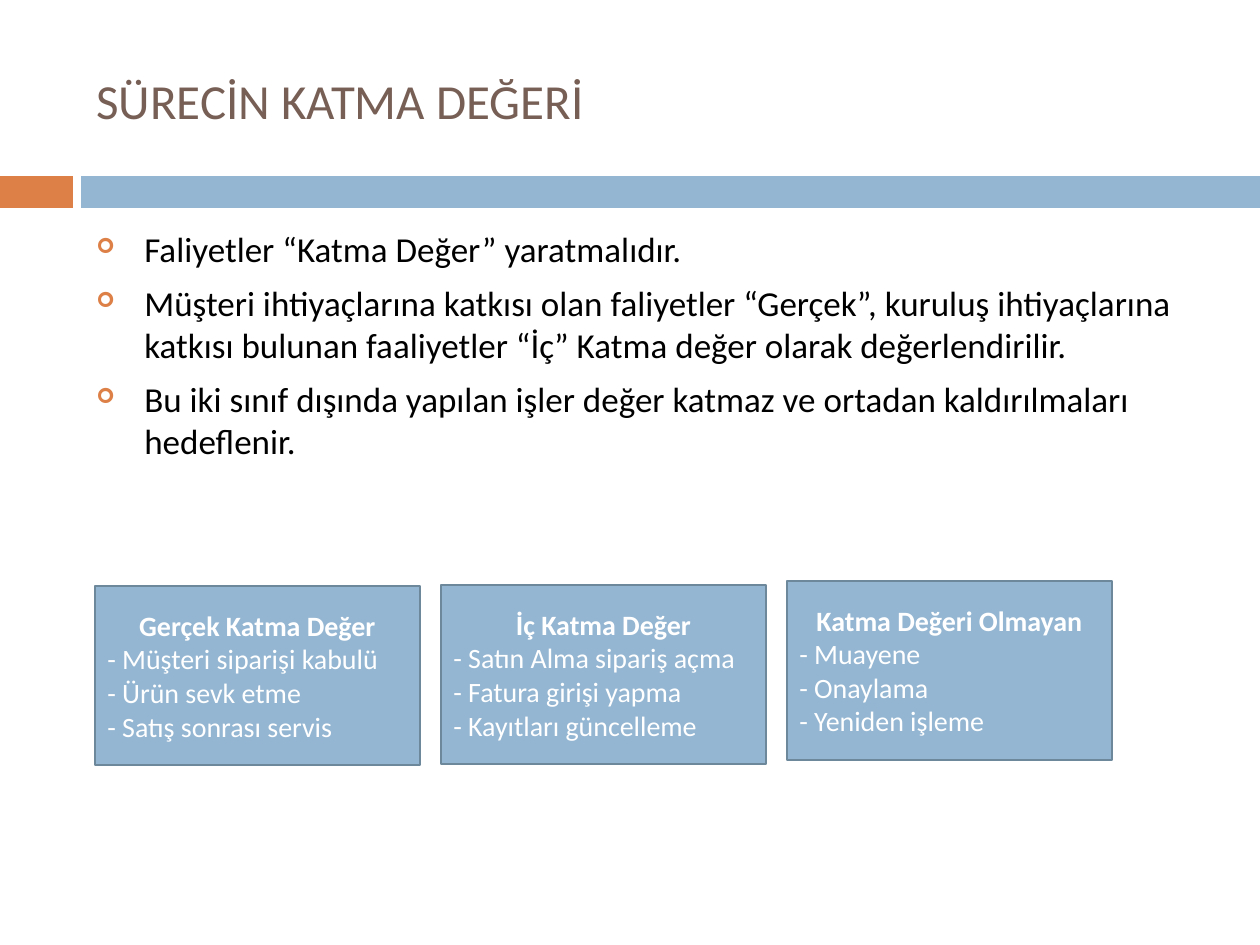
from dataclasses import dataclass

from lxml.etree import SubElement
from pptx import Presentation
from pptx.dml.color import RGBColor
from pptx.enum.shapes import MSO_SHAPE as SHAPE
from pptx.enum.text import MSO_ANCHOR as ANCHOR, PP_ALIGN as ALIGN
from pptx.oxml.ns import qn
from pptx.util import Pt

TITLE = "SÜRECİN KATMA DEĞERİ"
BULLETS = [
    "Faliyetler “Katma Değer” yaratmalıdır.",
    "Müşteri ihtiyaçlarına katkısı olan faliyetler “Gerçek”, kuruluş ihtiyaçlarına "
    "katkısı bulunan faaliyetler “İç” Katma değer olarak değerlendirilir.",
    "Bu iki sınıf dışında yapılan işler değer katmaz ve ortadan kaldırılmaları hedeflenir.",
]
CARDS = [
    (586, "Gerçek Katma Değer",
     ["Müşteri siparişi kabulü", "Ürün sevk etme", "Satış sonrası servis"]),
    (585, "İç Katma Değer",
     ["Satın Alma sipariş açma", "Fatura girişi yapma", "Kayıtları güncelleme"]),
    (581, "Katma Değeri Olmayan",
     ["Muayene", "Onaylama", "Yeniden işleme"]),
]


@dataclass(frozen=True)
class Theme:
    font: str = "Calibri"
    orange: str = "DD8047"
    blue: str = "94B6D2"
    edge: str = "6D879B"
    brown: str = "775F55"
    black: str = "000000"
    white: str = "FFFFFF"
    title: int = 28
    body: int = 20
    card: int = 16


T = Theme()
PX = 914400 / 126
SLIDE_W, SLIDE_H = 1260, 945
TEXT_X, TEXT_W = 84, 1124
BAND_Y, BAND_H, BAND_X = 176, 32, 81
CARD_X, CARD_W, CARD_H, CARD_STEP = 95, 325, 179, 346
INDENT = 48


def px(n):
    return round(n * PX)


def add_rect(slide, box, fill, edge=None):
    sp = slide.shapes.add_shape(SHAPE.RECTANGLE, *map(px, box))
    sp.shadow.inherit = False
    sp.fill.solid()
    sp.fill.fore_color.rgb = RGBColor.from_string(fill)
    if edge:
        sp.line.color.rgb = RGBColor.from_string(edge)
        sp.line.width = Pt(1.5)
    else:
        sp.line.fill.background()
    return sp


def add_text(slide, box, anchor):
    tf = slide.shapes.add_textbox(*map(px, box)).text_frame
    tf.word_wrap = True
    tf.vertical_anchor = anchor
    return tf


def add_paragraph(tf, i, text, size, color, bold=False, align=ALIGN.LEFT):
    p = tf.add_paragraph() if i else tf.paragraphs[0]
    p.alignment = align
    r = p.add_run()
    r.text = text
    r.font.name = T.font
    r.font.size = Pt(size)
    r.font.bold = bold
    r.font.color.rgb = RGBColor.from_string(color)
    return p


def set_bullet(p):
    pPr = p._p.get_or_add_pPr()
    pPr.set("marL", str(px(INDENT)))
    pPr.set("indent", str(-px(INDENT)))
    color = SubElement(pPr, qn("a:buClr"))
    SubElement(color, qn("a:srgbClr"), val=T.orange)
    SubElement(pPr, qn("a:buSzPct"), val="60000")
    SubElement(pPr, qn("a:buFont"), typeface="Wingdings")
    SubElement(pPr, qn("a:buChar"), char="➢")


def add_card(slide, i, top, heading, items):
    sp = add_rect(slide, (CARD_X + i * CARD_STEP, top, CARD_W, CARD_H), T.blue, T.edge)
    tf = sp.text_frame
    tf.word_wrap = True
    tf.vertical_anchor = ANCHOR.MIDDLE
    add_paragraph(tf, 0, heading, T.card, T.white, True, ALIGN.CENTER)
    for n, item in enumerate(items, 1):
        add_paragraph(tf, n, f"- {item}", T.card, T.white)


def main():
    prs = Presentation()
    prs.slide_width, prs.slide_height = px(SLIDE_W), px(SLIDE_H)
    slide = prs.slides.add_slide(prs.slide_layouts[6])

    add_rect(slide, (0, BAND_Y, 73, BAND_H), T.orange)
    add_rect(slide, (BAND_X, BAND_Y, SLIDE_W - BAND_X, BAND_H), T.blue)

    title = add_text(slide, (TEXT_X, 32, TEXT_W, 136), ANCHOR.MIDDLE)
    add_paragraph(title, 0, TITLE, T.title, T.brown)

    body = add_text(slide, (TEXT_X, 221, TEXT_W, 620), ANCHOR.TOP)
    for i, text in enumerate(BULLETS):
        p = add_paragraph(body, i, text, T.body, T.black)
        if i:
            p.space_before = Pt(7)
        set_bullet(p)

    for i, card in enumerate(CARDS):
        add_card(slide, i, *card)

    prs.save("out.pptx")


if __name__ == "__main__":
    main()
